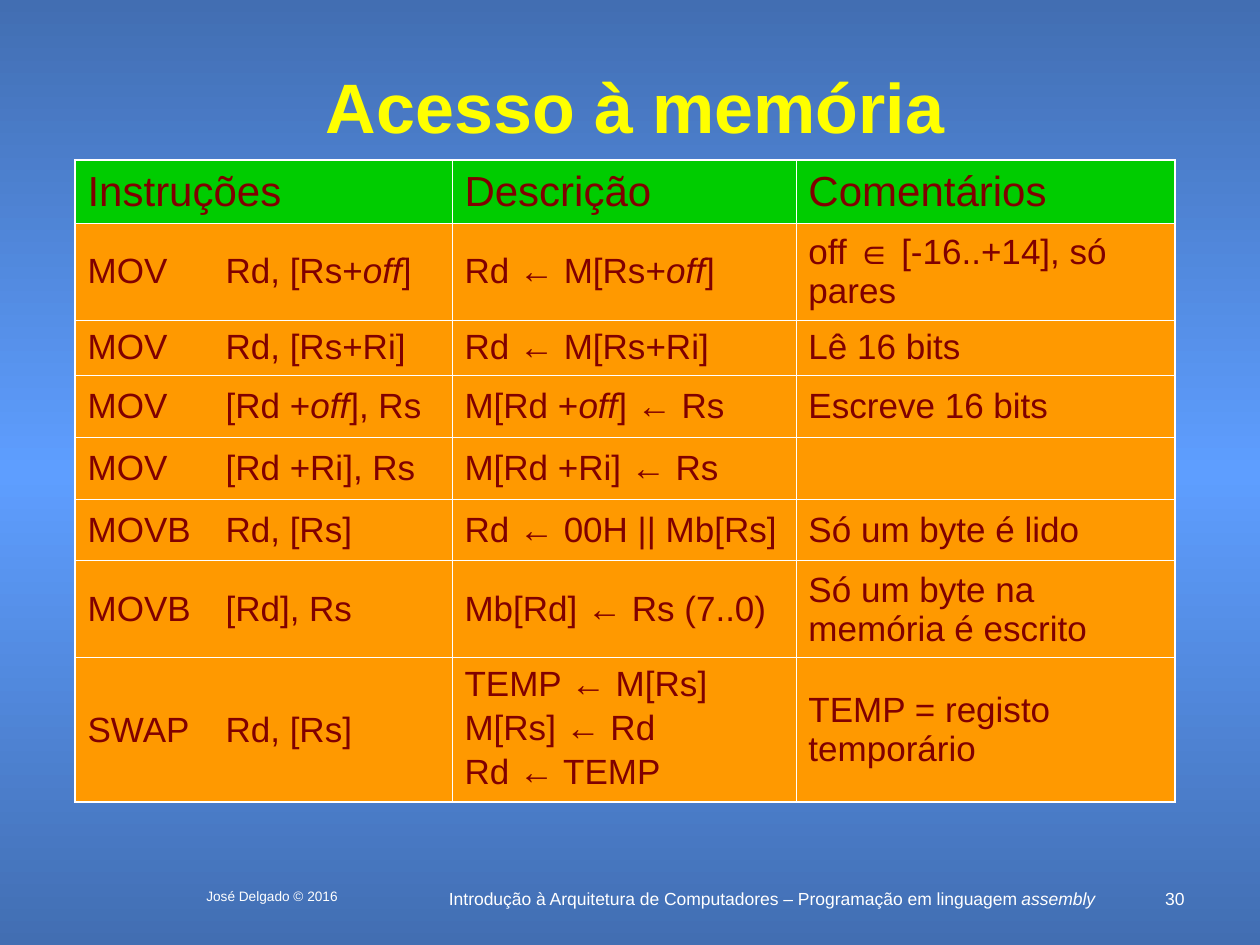
from copy import deepcopy

from lxml.etree import SubElement
from pptx import Presentation
from pptx.dml.color import RGBColor
from pptx.enum.text import MSO_ANCHOR, PP_ALIGN
from pptx.oxml.ns import qn
from pptx.util import Emu, Pt

WHITE, YELLOW, MAROON = "FFFFFF", "FFFF00", "800000"
GREEN, ORANGE = "00CC00", "FF9900"
DARK_BLUE, LIGHT_BLUE = "426EB2", "5E9EFF"
THIN, THICK = 0.45, 1.08

COLUMNS = [138, 239, 344, 379]
HEIGHTS = [63, 97, 55, 62, 62, 62, 97, 144]
ROWS = [
    ["Instruções", "", "Descrição", "Comentários"],
    ["MOV", "Rd, [Rs+*off*]", "Rd ← M[Rs+*off*]", "off ∈ [-16..+14], só pares"],
    ["MOV", "Rd, [Rs+Ri]", "Rd ← M[Rs+Ri]", "Lê 16 bits"],
    ["MOV", "[Rd +*off*], Rs", "M[Rd +*off*] ← Rs", "Escreve 16 bits"],
    ["MOV", "[Rd +Ri], Rs", "M[Rd +Ri] ← Rs", ""],
    ["MOVB", "Rd, [Rs]", "Rd ← 00H || Mb[Rs]", "Só um byte é lido"],
    ["MOVB", "[Rd], Rs", "Mb[Rd] ← Rs (7..0)", "Só um byte na memória é escrito"],
    ["SWAP", "Rd, [Rs]", "TEMP ← M[Rs]\nM[Rs] ← Rd\nRd ← TEMP", "TEMP = registo temporário"],
]


def px(n):
    return Emu(round(n * 914400 / 126))


def rgb(value):
    return RGBColor.from_string(value)


def write(p, text, size, color, bold=False):
    for i, part in enumerate(text.split("*")):
        if part:
            r = p.add_run()
            r.text = part
            r.font.name = "Arial"
            r.font.size = Pt(size)
            r.font.bold = bold
            r.font.italic = i % 2 == 1
            r.font.color.rgb = rgb(color)


def add_text(s, box, text, size, color, align, anchor=MSO_ANCHOR.TOP, bold=False):
    tf = s.shapes.add_textbox(*map(px, box)).text_frame
    tf.word_wrap = True
    tf.vertical_anchor = anchor
    p = tf.paragraphs[0]
    p.alignment = align
    write(p, text, size, color, bold)


def add_background(s):
    fill = s.background.fill
    fill.gradient()
    fill.gradient_angle = 90
    first = s.element.find(".//" + qn("a:gs"))
    first.addnext(deepcopy(first))
    stops = zip(fill.gradient_stops, [0, 0.5, 1], [DARK_BLUE, LIGHT_BLUE, DARK_BLUE])
    for stop, position, color in stops:
        stop.position = position
        stop.color.rgb = rgb(color)


def add_border(cell, side, width):
    tcPr = cell._tc.get_or_add_tcPr()
    ln = SubElement(tcPr, qn("a:ln" + side), w=str(Pt(width)))
    if width:
        fill = SubElement(ln, qn("a:solidFill"))
        SubElement(fill, qn("a:srgbClr"), val=WHITE)
    else:
        SubElement(ln, qn("a:noFill"))


def fill_cell(cell, text, header):
    cell.fill.solid()
    cell.fill.fore_color.rgb = rgb(GREEN if header else ORANGE)
    cell.vertical_anchor = MSO_ANCHOR.MIDDLE
    cell.margin_left = cell.margin_right = Pt(7.2)
    cell.margin_top = cell.margin_bottom = Pt(3.6)
    lines = text.split("\n")
    for i, line in enumerate(lines):
        tf = cell.text_frame
        p = tf.add_paragraph() if i else tf.paragraphs[0]
        if i:
            p.space_before = Pt(5)
        if len(lines) > 1:
            p.line_spacing = 0.9
        write(p, line, 24 if header else 20, MAROON)


def add_instructions(s, left, top):
    box = left, top, sum(COLUMNS), sum(HEIGHTS)
    table = s.shapes.add_table(len(ROWS), len(COLUMNS), *map(px, box)).table
    table.first_row = table.horz_banding = False
    for column, width in zip(table.columns, COLUMNS):
        column.width = px(width)
    for row, height in zip(table.rows, HEIGHTS):
        row.height = px(height)
    table.cell(0, 0).merge(table.cell(0, 1))
    last_row, last_col = len(ROWS) - 1, len(COLUMNS) - 1
    for i, texts in enumerate(ROWS):
        for j, text in enumerate(texts):
            cell = table.cell(i, j)
            inner_left = 0 if j == 1 else THIN
            inner_right = 0 if j == 0 and i else THIN
            add_border(cell, "L", THICK if j == 0 else inner_left)
            add_border(cell, "R", THICK if j == last_col else inner_right)
            add_border(cell, "T", THICK if i == 0 else THIN)
            add_border(cell, "B", THICK if i == last_row else THIN)
            fill_cell(cell, text, i == 0)


def add_footer(s, top):
    course = "Introdução à Arquitetura de Computadores – Programação em linguagem *assembly*"
    add_text(s, (434, top, 676, 32), course, 10, WHITE, PP_ALIGN.CENTER)
    add_text(s, (1144, top, 53, 22), "30", 10, WHITE, PP_ALIGN.RIGHT)
    add_text(s, (167, top, 210, 32), "José Delgado © 2016", 7.8, WHITE, PP_ALIGN.CENTER)


def main():
    prs = Presentation()
    prs.slide_width, prs.slide_height = px(1260), px(945)
    s = prs.slides.add_slide(prs.slide_layouts[6])
    add_background(s)
    add_footer(s, 882)
    add_text(s, (65, 64, 1140, 84), "Acesso à memória", 40, YELLOW,
             PP_ALIGN.CENTER, MSO_ANCHOR.MIDDLE, bold=True)
    add_instructions(s, 75, 160)
    prs.save("out.pptx")


if __name__ == "__main__":
    main()
